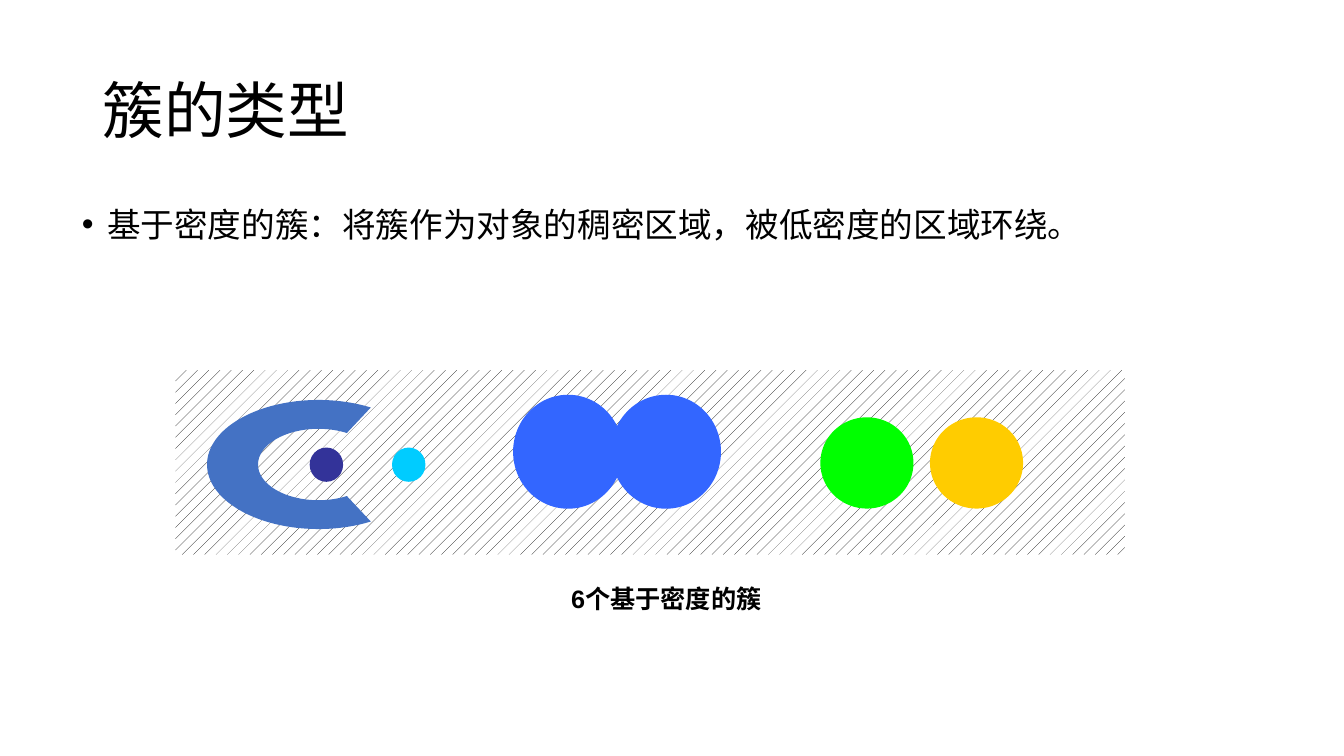
import math
from pptx import Presentation
from pptx.util import Pt
from pptx.dml.color import RGBColor
from pptx.enum import dml, shapes, text
from pptx.oxml import ns, xmlchemy as xc

HEX = {
    "black": "000000", "white": "FFFFFF", "arc": "4472C4", "navy": "333399",
    "cyan": "00CCFF", "blue": "3366FF", "green": "00FF00", "gold": "FFCC00",
}
CJK = "Noto Sans CJK SC"


def write(para, words, size, face, bold=False):
    run = para.add_run()
    run.text = words
    font = run.font
    font.size, font.name, font.bold = Pt(size), face, bold
    font.color.rgb = RGBColor.from_string(HEX["black"])
    east = xc.OxmlElement("a:ea")
    east.set("typeface", CJK)
    font._element.find(ns.qn("a:latin")).addnext(east)


def paint(shape, tint):
    shape.shadow.inherit = False
    shape.line.fill.background()
    shape.fill.solid()
    shape.fill.fore_color.rgb = RGBColor.from_string(HEX[tint])


deck = Presentation()
deck.slide_width, deck.slide_height = Pt(960), Pt(540)
slide = deck.slides.add_slide(deck.slide_layouts[5])

title = slide.shapes.title
title.left, title.top, title.width, title.height = Pt(66), Pt(28.8), Pt(828), Pt(104.4)
frame = title.text_frame
frame.vertical_anchor = text.MSO_ANCHOR.MIDDLE
para = frame.paragraphs[0]
para.alignment = text.PP_ALIGN.LEFT
para.line_spacing = 0.9
write(para, "簇的类型", 44, CJK)

body = slide.shapes.add_textbox(Pt(51.4), Pt(127.5), Pt(857.5), Pt(350))
frame = body.text_frame
frame.word_wrap = True
para = frame.paragraphs[0]
para.line_spacing = 1.5
props = para._p.get_or_add_pPr()
props.set("marL", str(Pt(18)))
props.set("indent", str(Pt(-18)))
face = xc.OxmlElement("a:buFont")
face.set("typeface", "Arial")
mark = xc.OxmlElement("a:buChar")
mark.set("char", "•")
props.extend([face, mark])
write(para, "基于密度的簇：将簇作为对象的稠密区域，被低密度的区域环绕。", 24, CJK)

label = slide.shapes.add_textbox(Pt(346.3), Pt(413.3), Pt(259.2), Pt(28.8))
frame = label.text_frame
frame.word_wrap = True
para = frame.paragraphs[0]
para.alignment = text.PP_ALIGN.CENTER
write(para, "6个基于密度的簇", 18, "Arial", True)

group = slide.shapes.add_group_shape().shapes
field = group.add_shape(shapes.MSO_SHAPE.RECTANGLE, Pt(125.3), Pt(264.4), Pt(678.2), Pt(131.8))
paint(field, "white")
field.fill.patterned()
field.fill.pattern = dml.MSO_PATTERN.PERCENT_10
field.fill.fore_color.rgb = RGBColor.from_string(HEX["black"])
field.fill.back_color.rgb = RGBColor.from_string(HEX["white"])

wide, high = 46.1, 79.6
left, top = 227.5 - wide, 331.8 - high
turns = [math.radians(a) for a in (62, 90, 180, 270, 298)]
dots, bends = [], []
for rx, ry, ring in [(wide, high, turns), (25.5, 43.2, turns[::-1])]:
    dots += [(wide - rx * math.sin(a), high + ry * math.cos(a)) for a in ring]
    bends.append(None)
    for a, b in zip(ring, ring[1:]):
        k = 4 / 3 * math.tan((b - a) / 4)
        bends.append([
            (wide - rx * (math.sin(t) + q * math.cos(t)), high + ry * (math.cos(t) - q * math.sin(t)))
            for t, q in [(a, k), (b, -k)]
        ])

spots = [(Pt(left + x), Pt(top + y)) for x, y in dots]
pen = group.build_freeform(*spots[0])
pen.add_line_segments(spots[1:], close=True)
horse = pen.convert_to_shape()
paint(horse, "arc")
horse.height = Pt(2 * high)
horse.rotation = 270
route = horse._element.find(".//" + ns.qn("a:path"))
route.set("h", str(Pt(2 * high)))
for step, bend in zip(list(route), bends):
    if bend:
        curve = xc.OxmlElement("a:cubicBezTo")
        for x, y in bend:
            knot = xc.OxmlElement("a:pt")
            knot.set("x", str(Pt(x)))
            knot.set("y", str(Pt(y)))
            curve.append(knot)
        curve.append(step[0])
        route.replace(step, curve)

for left, top, wide, high, tint in [
    (221.2, 319.7, 23.9, 24.5, "navy"),
    (280, 319.7, 23.9, 24.5, "cyan"),
    (586, 298.1, 66.5, 65.2, "green"),
    (664.3, 298.1, 66.5, 65.2, "gold"),
    (366.5, 282, 78.5, 81.4, "blue"),
    (436.5, 282, 78.5, 81.4, "blue"),
]:
    disc = group.add_shape(shapes.MSO_SHAPE.OVAL, Pt(left), Pt(top), Pt(wide), Pt(high))
    paint(disc, tint)

deck.save("out.pptx")
